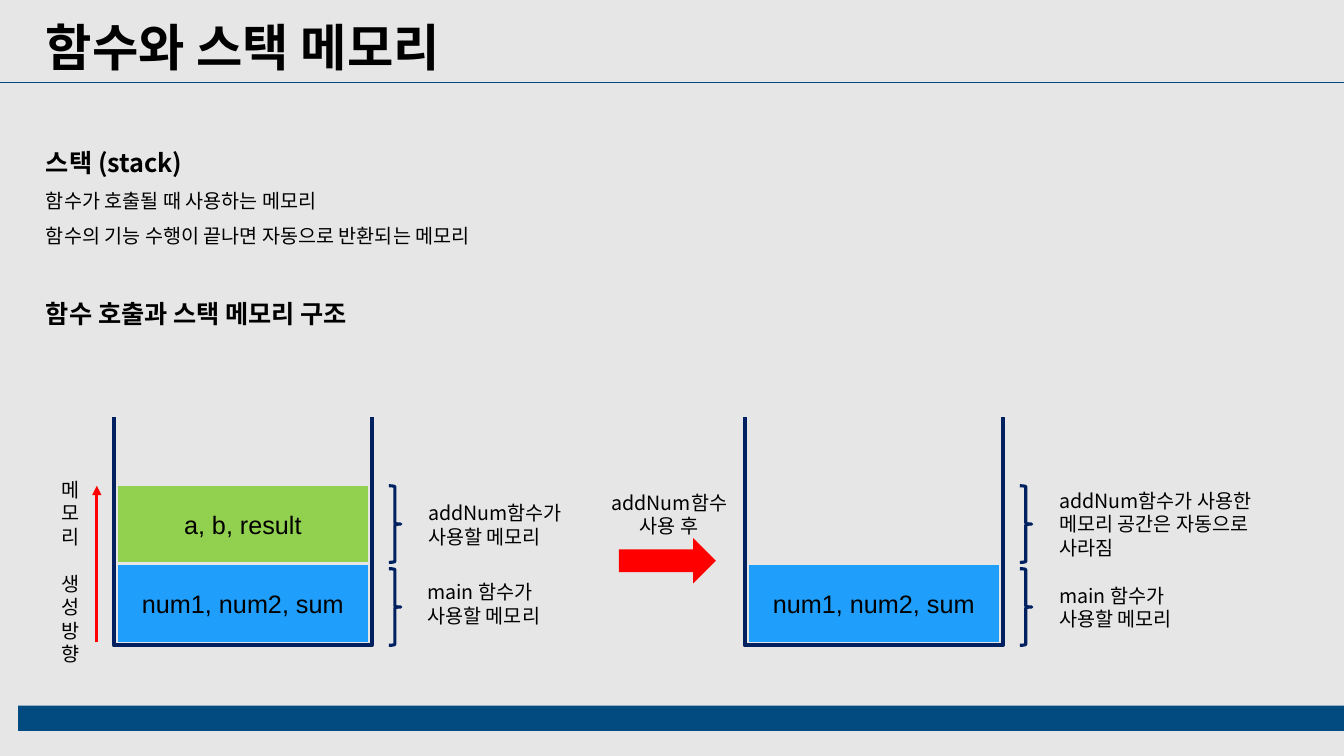
from lxml.etree import SubElement
from pptx import Presentation
from pptx.dml.color import RGBColor
from pptx.enum.shapes import MSO_CONNECTOR, MSO_SHAPE
from pptx.enum.text import MSO_ANCHOR, PP_ALIGN
from pptx.oxml.ns import qn
from pptx.util import Cm, Pt

COLOURS = {
    "background": "E7E6E6",
    "band": "024B80",
    "navy": "002060",
    "blue": "1F9FFB",
    "green": "92D050",
    "red": "FF0000",
    "text": "000000",
}
KOREAN = "Noto Sans CJK KR"
TITLE = {"size": Pt(36), "bold": True}
HEADING = {"size": Pt(18), "bold": True}
PLAIN = {"size": Pt(14), "bold": False}
CELL = {"size": Pt(18), "name": "Arial"}

STACK_LEFT, STACK_SHIFT = 2.87, 15.9
CELL_WIDTH, CELL_HEIGHT = 6.3, 1.93
ADD_TOP, MAIN_TOP = 12.24, 14.25
MAIN_LABEL = ["main 함수가", "사용할 메모리"]


def colour(name):
    return RGBColor.from_string(COLOURS[name])


def place(*lengths):
    return [Cm(length) for length in lengths]


def add_span(para, text, formats):
    span = para.add_run()
    span.text = text
    for key, value in {"name": KOREAN, **formats}.items():
        setattr(span.font, key, value)
    span.font.color.rgb = colour("text")
    properties = span._r.get_or_add_rPr()
    SubElement(properties, qn("a:ea")).set("typeface", span.font.name)


def add_text(page, at, lines, formats=PLAIN, **para_formats):
    """Add a text box with one paragraph for each line."""
    box = page.shapes.add_textbox(*place(*at))
    frame = box.text_frame
    frame.word_wrap = True
    for index, line in enumerate(lines):
        para = frame.paragraphs[0] if index == 0 else frame.add_paragraph()
        text, line_formats = line if isinstance(line, tuple) else (line, formats)
        for key, value in para_formats.items():
            setattr(para, key, value)
        add_span(para, text, line_formats)
    return box


def add_block(page, kind, at, fill=None, line=None, width=0, text=None):
    """Add a preset shape, filled or outlined, with optional centred text."""
    block = page.shapes.add_shape(kind, *place(*at))
    block.shadow.inherit = False
    if fill:
        block.fill.solid()
        block.fill.fore_color.rgb = colour(fill)
    else:
        block.fill.background()
    if line:
        block.line.color.rgb = colour(line)
        block.line.width = Pt(width)
    else:
        block.line.fill.background()
    if text:
        block.text_frame.vertical_anchor = MSO_ANCHOR.MIDDLE
        para = block.text_frame.paragraphs[0]
        para.alignment = PP_ALIGN.CENTER
        add_span(para, text, CELL)
    return block


def add_line(page, ends, name, width, arrow=False):
    line = page.shapes.add_connector(MSO_CONNECTOR.STRAIGHT, *place(*ends))
    line.line.color.rgb = colour(name)
    line.line.width = Pt(width)
    if arrow:
        SubElement(line.line._get_or_add_ln(), qn("a:tailEnd")).set("type", "triangle")
    SubElement(line._element.spPr, qn("a:effectLst"))


def add_stack(page, left, cells):
    """Draw an open container with its memory cells and two braces."""
    process = MSO_SHAPE.FLOWCHART_PROCESS
    add_block(page, process, (left, 8.94, 6.5, 7.32), line="navy", width=3)
    # The cover hides the upper edge, so the container looks open
    add_block(page, process, (left - 0.43, 8.46, 7.37, 2.06), fill="background")
    for top, fill, text in cells:
        at = (left + 0.1, top, CELL_WIDTH, CELL_HEIGHT)
        add_block(page, process, at, fill=fill, text=text)
    for top in (ADD_TOP, MAIN_TOP + 0.08):
        at = (left + 6.93, top, 0.3, CELL_HEIGHT)
        brace = add_block(page, MSO_SHAPE.LEFT_BRACE, at, line="navy", width=2.25)
        brace.rotation = 180


def main():
    deck = Presentation()
    deck.slide_width, deck.slide_height = Cm(33.87), Cm(19.05)
    page = deck.slides.add_slide(deck.slide_layouts[6])
    page.background.fill.solid()
    page.background.fill.fore_color.rgb = colour("background")

    # Frame and title
    add_block(page, MSO_SHAPE.RECTANGLE, (0.46, 17.78, 33.41, 0.64), fill="band")
    add_text(page, (0.91, 0.28, 22.12, 1.8), ["함수와 스택 메모리"], TITLE)
    add_line(page, (0, 2.08, 33.87, 2.08), "band", 0.5)

    # Explanation
    body = add_text(page, (0.91, 3.2, 18.75, 5.26), [
        ("스택 (stack)", HEADING),
        "함수가 호출될 때 사용하는 메모리",
        "함수의 기능 수행이 끝나면 자동으로 반환되는 메모리",
        ("함수 호출과 스택 메모리 구조", HEADING),
    ], line_spacing=1.5)
    body.text_frame.paragraphs[-1].space_before = Pt(25)

    # Stacks during and after the call
    main_cell = (MAIN_TOP, "blue", "num1, num2, sum")
    add_cell = (ADD_TOP, "green", "a, b, result")
    add_stack(page, STACK_LEFT, [main_cell, add_cell])
    add_stack(page, STACK_LEFT + STACK_SHIFT, [main_cell])

    # Direction of growth
    add_line(page, (2.44, 16.18, 2.44, ADD_TOP), "red", 2.25, arrow=True)
    add_text(page, (1.3, 11.91, 0.71, 4.45), ["메모리 생성방향"])

    # Brace labels
    add_text(page, (10.54, 12.5, 4.24, 1.45), ["addNum함수가 사용할 메모리"])
    add_text(page, (10.52, 14.5, 4.24, 1.45), MAIN_LABEL)
    add_text(page, (26.44, 12.19, 6.12, 2.06),
             ["addNum함수가 사용한 메모리 공간은 자동으로 사라짐"])
    add_text(page, (26.44, 14.58, 4.24, 1.45), MAIN_LABEL)

    # Step from one stack to the other
    add_text(page, (15.06, 12.24, 3.61, 1.45), ["addNum함수 사용 후"],
             alignment=PP_ALIGN.CENTER)
    add_block(page, MSO_SHAPE.RIGHT_ARROW, (15.6, 13.56, 2.44, 1.14), fill="red")

    deck.save("out.pptx")


if __name__ == "__main__":
    main()
